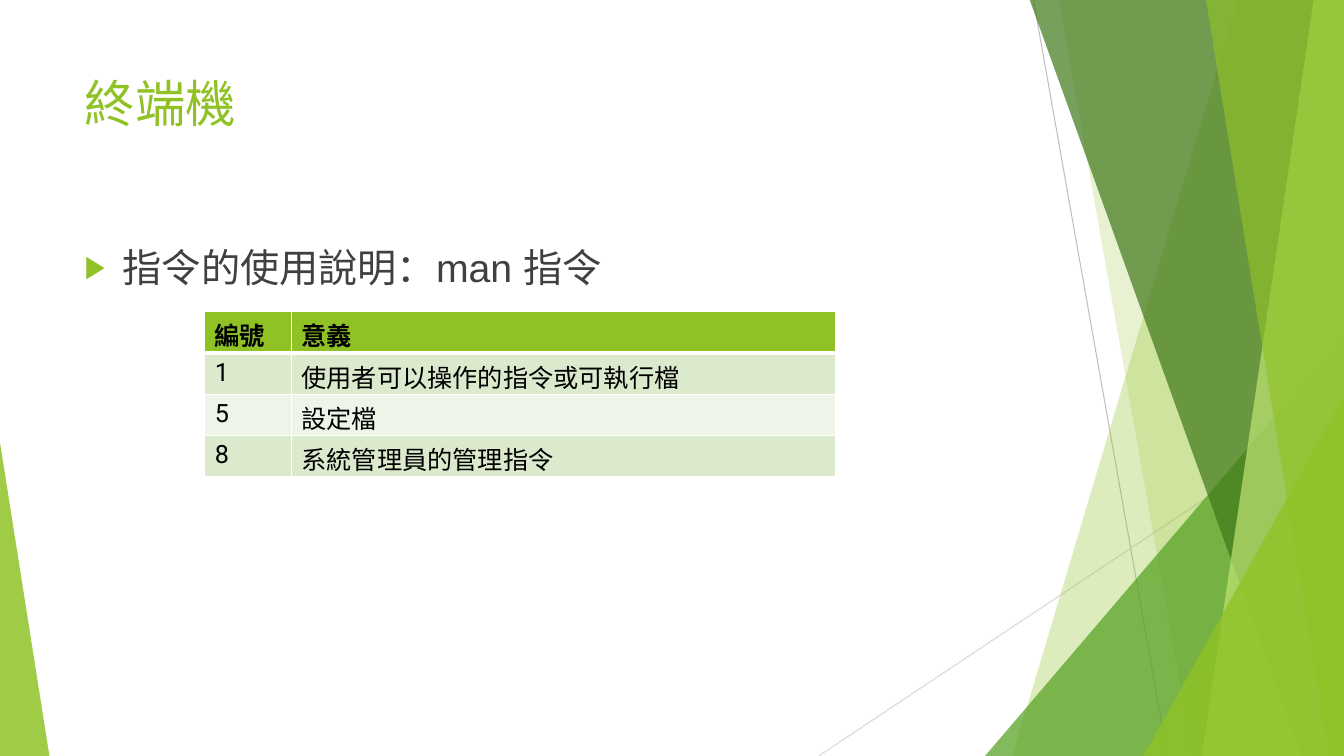
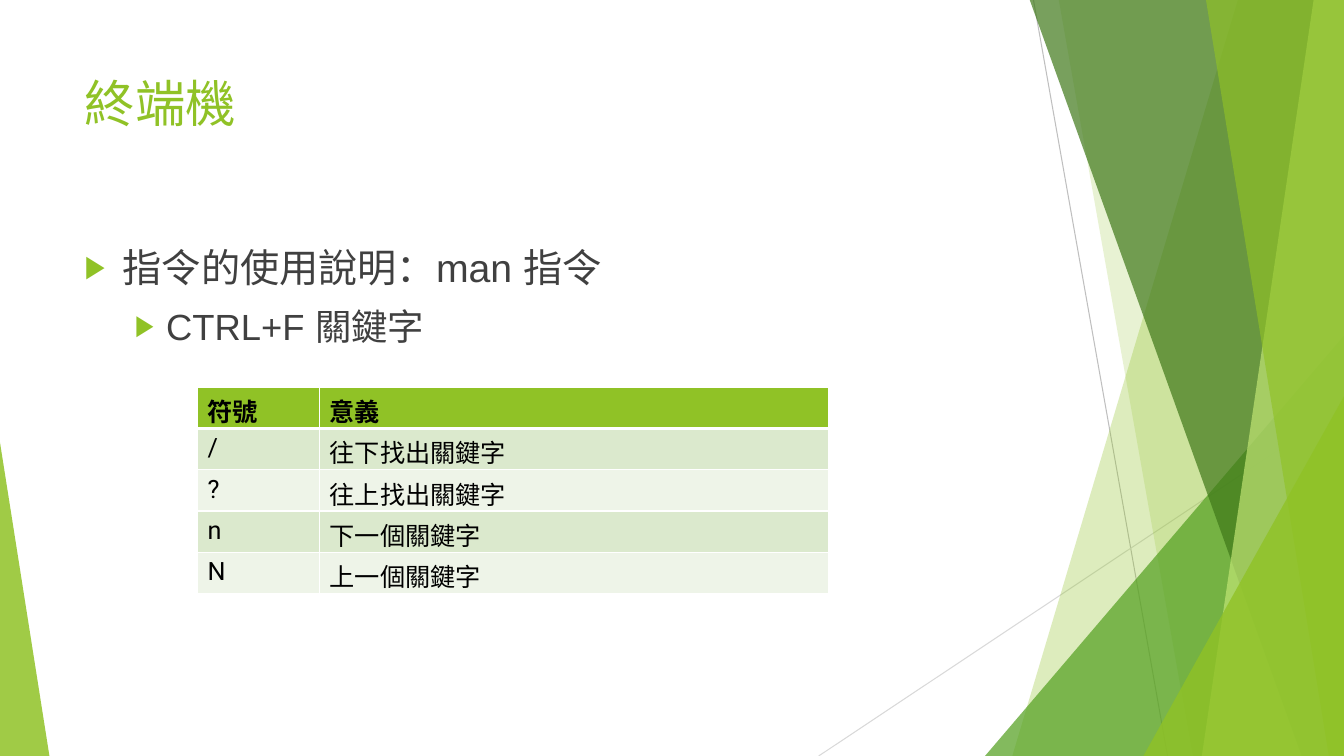
from lxml.etree import SubElement
from pptx import Presentation
from pptx.dml.color import RGBColor
from pptx.enum.shapes import MSO_CONNECTOR, MSO_SHAPE
from pptx.enum.text import MSO_ANCHOR, MSO_AUTO_SIZE, PP_ALIGN
from pptx.oxml.ns import qn
from pptx.util import Inches, Pt

COLORS = {
    "lime": "90C226",
    "green": "54A021",
    "dark_green": "3F7819",
    "pale_lime": "C0E474",
    "text": "404040",
    "black": "000000",
    "white": "FFFFFF",
    "row_odd": "DBE9CD",
    "row_even": "EEF4E8",
    "line": "BFBFBF",
    "light_line": "D9D9D9",
}
WIDTH, HEIGHT = 13.33, 7.5
BAND_TOP = -0.01
LEFT_MARGIN, TEXT_WIDTH = 0.74, 9.4
TITLE_FONT, BODY_FONT = "Roboto", "Arial"
ROW_HEIGHT = 0.41
# Per level: text size, left indent, hanging indent
LEVELS = [(28, 0.38, 0.38), (26, 0.81, 0.31)]


def rgb(color):
    return RGBColor.from_string(COLORS[color])


def write_text(paragraph, text, *, size, font, color, bold=False):
    run = paragraph.add_run()
    run.text = text
    run.font.size = Pt(size)
    run.font.name = font
    run.font.bold = bold
    run.font.color.rgb = rgb(color)


def format_panel(shape, color, opacity):
    """Give a shape a translucent fill without outline or shadow."""
    shape.shadow.inherit = False
    shape.fill.solid()
    shape.fill.fore_color.rgb = rgb(color)
    fill_color = shape.element.spPr.find(".//" + qn("a:srgbClr"))
    SubElement(fill_color, qn("a:alpha"), val=str(opacity * 1000))
    shape.line.fill.background()


def add_thin_line(slide, start, end, color):
    points = [Inches(value) for value in (*start, *end)]
    connector = slide.shapes.add_connector(MSO_CONNECTOR.STRAIGHT, *points)
    connector.line.color.rgb = rgb(color)
    connector.line.width = Pt(0.75)
    SubElement(connector.element.spPr, qn("a:effectLst"))


def add_band(slide, top_x, bottom_x, color, opacity):
    """Fill from a slanted left side to the right edge of the slide."""
    builder = slide.shapes.build_freeform(Inches(top_x), Inches(BAND_TOP))
    corners = [(WIDTH, BAND_TOP), (WIDTH, HEIGHT), (bottom_x, HEIGHT)]
    builder.add_line_segments([(Inches(x), Inches(y)) for x, y in corners])
    format_panel(builder.convert_to_shape(), color, opacity)


def add_corner(slide, left, top, width, apex, color, opacity):
    """Add a triangle on the bottom edge; apex 0 is left and 1 is right."""
    triangle = slide.shapes.add_shape(
        MSO_SHAPE.ISOSCELES_TRIANGLE,
        Inches(left), Inches(top), Inches(width), Inches(HEIGHT - top))
    triangle.adjustments[0] = apex
    format_panel(triangle, color, opacity)


def add_backdrop(slide):
    add_thin_line(slide, (10.25, 0), (11.58, HEIGHT), "line")
    add_thin_line(slide, (WIDTH, 4.03), (8.12, HEIGHT), "light_line")
    add_band(slide, 12.28, 10.04, "lime", 30)
    add_band(slide, 10.5, 11.83, "lime", 20)
    add_corner(slide, 9.77, 3.33, 3.56, 1, "green", 72)
    add_band(slide, 10.21, 12.91, "dark_green", 70)
    add_band(slide, 13.03, 11.92, "pale_lime", 70)
    add_band(slide, 11.96, 13.18, "lime", 65)
    add_corner(slide, 11.34, 3.93, 1.99, 1, "lime", 80)
    add_corner(slide, 0, 4.39, 0.49, 0, "lime", 85)


def move_backdrop_to_layout(slide, layout):
    """Keep the backdrop on the layout, so that every slide shows it."""
    for placeholder in list(layout.placeholders)[1:]:
        layout.shapes.element.remove(placeholder.element)
    for shape in list(slide.shapes):
        if not shape.is_placeholder:
            layout.shapes.element.append(shape.element)


def set_title(slide, text):
    title = slide.shapes.title
    title.left, title.top = Inches(LEFT_MARGIN), Inches(0.67)
    title.width, title.height = Inches(TEXT_WIDTH), Inches(1.44)
    frame = title.text_frame
    frame.auto_size = MSO_AUTO_SIZE.NONE
    frame.vertical_anchor = MSO_ANCHOR.TOP
    paragraph = frame.paragraphs[0]
    paragraph.alignment = PP_ALIGN.LEFT
    write_text(paragraph, text, size=36, font=TITLE_FONT, color="lime")


def format_bullet(paragraph, left, hanging):
    properties = paragraph._p.get_or_add_pPr()
    properties.set("marL", str(Inches(left)))
    properties.set("indent", str(-Inches(hanging)))
    bullet_color = SubElement(properties, qn("a:buClr"))
    SubElement(bullet_color, qn("a:srgbClr"), val=COLORS["lime"])
    SubElement(properties, qn("a:buSzPct"), val="80000")
    SubElement(properties, qn("a:buFont"), typeface=BODY_FONT)
    SubElement(properties, qn("a:buChar"), char="▶")


def add_bullets(slide, texts):
    """Add one bullet per text, each a level deeper than the one before."""
    box = slide.shapes.add_textbox(
        Inches(LEFT_MARGIN), Inches(2.36), Inches(TEXT_WIDTH), Inches(4.24))
    frame = box.text_frame
    frame.word_wrap = True
    for level, text in enumerate(texts):
        paragraph = frame.add_paragraph() if level else frame.paragraphs[0]
        size, left, hanging = LEVELS[level]
        paragraph.level = level
        paragraph.space_before = Pt(10)
        format_bullet(paragraph, left, hanging)
        write_text(paragraph, text, size=size, font=BODY_FONT, color="text")


def set_borders(cell, **widths):
    """Draw white borders; widths in points by side: L, R, T and B."""
    properties = cell._tc.get_or_add_tcPr()
    for index, side in enumerate("LRTB"):
        width = str(Pt(widths.get(side, 1)))
        border = properties.makeelement(qn("a:ln" + side), {"w": width})
        fill = SubElement(border, qn("a:solidFill"))
        SubElement(fill, qn("a:srgbClr"), val=COLORS["white"])
        properties.insert(index, border)


def fill_cell(cell, text, row_index):
    is_header = row_index == 0
    stripe = "row_odd" if row_index % 2 else "row_even"
    cell.fill.solid()
    cell.fill.fore_color.rgb = rgb("lime" if is_header else stripe)
    set_borders(cell, B=3 if is_header else 1, T=3 if row_index == 1 else 1)
    write_text(cell.text_frame.paragraphs[0], text, size=18,
               font=TITLE_FONT, color="black", bold=is_header)


def add_meaning_table(slide, left, top, column_widths, rows):
    frame = slide.shapes.add_table(
        len(rows), len(column_widths), Inches(left), Inches(top),
        Inches(sum(column_widths)), Inches(ROW_HEIGHT * len(rows)))
    table = frame.table
    for column, width in zip(table.columns, column_widths):
        column.width = Inches(width)
    for row_index, texts in enumerate(rows):
        table.rows[row_index].height = Inches(ROW_HEIGHT)
        for column_index, text in enumerate(texts):
            fill_cell(table.cell(row_index, column_index), text, row_index)


def write_terminal_text(slide, *details):
    set_title(slide, "終端機")
    add_bullets(slide, ["指令的使用說明：man 指令", *details])


def main():
    presentation = Presentation()
    presentation.slide_width = Inches(WIDTH)
    presentation.slide_height = Inches(HEIGHT)
    layout = presentation.slide_layouts.get_by_name("Title Only")

    sections = presentation.slides.add_slide(layout)
    add_backdrop(sections)
    move_backdrop_to_layout(sections, layout)
    write_terminal_text(sections)
    add_meaning_table(sections, 2.03, 3.09, [0.86, 5.4], [
        ("編號", "意義"),
        ("1", "使用者可以操作的指令或可執行檔"),
        ("5", "設定檔"),
        ("8", "系統管理員的管理指令"),
    ])

    search = presentation.slides.add_slide(layout)
    write_terminal_text(search, "CTRL+F 關鍵字")
    add_meaning_table(search, 1.96, 3.84, [1.21, 5.05], [
        ("符號", "意義"),
        ("/", "往下找出關鍵字"),
        ("?", "往上找出關鍵字"),
        ("n", "下一個關鍵字"),
        ("N", "上一個關鍵字"),
    ])

    presentation.save("out.pptx")


if __name__ == "__main__":
    main()
